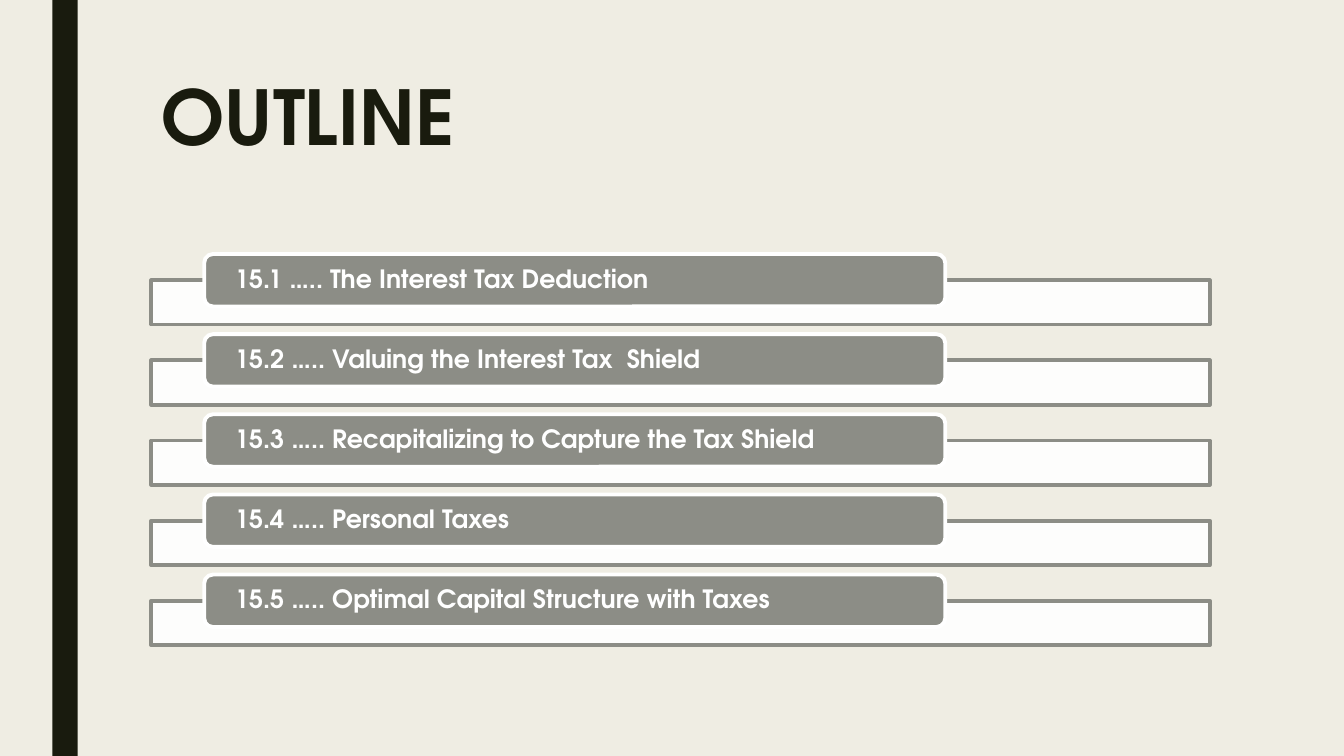
from lxml import etree
from pptx import Presentation
from pptx.dml.color import RGBColor
from pptx.enum.shapes import MSO_SHAPE
from pptx.enum.text import MSO_ANCHOR, PP_ALIGN
from pptx.oxml.ns import qn
from pptx.util import Inches, Pt

RECTANGLE, ROUNDED = MSO_SHAPE.RECTANGLE, MSO_SHAPE.ROUNDED_RECTANGLE
TOP, MIDDLE, LEFT = MSO_ANCHOR.TOP, MSO_ANCHOR.MIDDLE, PP_ALIGN.LEFT

# Content
TITLE = "OUTLINE"
SECTIONS = [
    "15.1 ….. The Interest Tax Deduction",
    "15.2 ….. Valuing the Interest Tax  Shield",
    "15.3 ….. Recapitalizing to Capture the Tax Shield",
    "15.4 ….. Personal Taxes",
    "15.5 ….. Optimal Capital Structure with Taxes",
]

# Style
CREAM = RGBColor(0xEF, 0xED, 0xE3)
INK = RGBColor(0x19, 0x1B, 0x0E)
GREY = RGBColor(0x8C, 0x8D, 0x86)
WHITE = RGBColor(0xFF, 0xFF, 0xFF)
FONT = "TeX Gyre Adventor"
TITLE_FONT = {"name": FONT, "size": Pt(54), "bold": True}
SECTION_FONT = {"name": FONT, "size": Pt(18), "bold": True}

# Layout in inches
WIDTH, HEIGHT = 13.33, 7.5
MARGIN, CONTENT_WIDTH = 1.5, 10.5
FIRST_TAB, ROW_STEP = 2.52, 0.795
TAB_HEIGHT, BAR_HEIGHT = 0.52, 0.44
TAB_LEFT = MARGIN + CONTENT_WIDTH * 0.05
TAB_WIDTH = CONTENT_WIDTH * 0.7


def add_box(slide, kind, box, fill, line=None):
    shape = slide.shapes.add_shape(kind, *map(Inches, box))
    shape.shadow.inherit = False
    shape.fill.solid()
    shape.fill.fore_color.rgb = fill
    if line is None:
        shape.line.fill.background()
    else:
        shape.line.color.rgb = line
        shape.line.width = Pt(2.75)
    return shape


def write(shape, text, style, color, anchor, spacing):
    frame = shape.text_frame
    frame.word_wrap = True
    frame.vertical_anchor = anchor
    paragraph = frame.paragraphs[0]
    paragraph.text = text
    paragraph.alignment = LEFT
    paragraph.line_spacing = spacing
    font = paragraph.runs[0].font
    for name, value in style.items():
        setattr(font, name, value)
    font.color.rgb = color
    return frame


def set_opacity(shape, percent):
    color = shape.fill._xPr.find(qn("a:solidFill"))[0]
    etree.SubElement(color, qn("a:alpha"), val=str(percent * 1000))


def main():
    presentation = Presentation()
    presentation.slide_width = Inches(WIDTH)
    presentation.slide_height = Inches(HEIGHT)
    slide = presentation.slides.add_slide(presentation.slide_layouts[5])
    slide.background.fill.solid()
    slide.background.fill.fore_color.rgb = CREAM

    # Side stripe
    add_box(slide, RECTANGLE, (0.52, 0, 0.25, HEIGHT), INK)

    # Title
    title = slide.shapes.title
    title.left, title.top = Inches(MARGIN), Inches(0.75)
    title.width, title.height = Inches(CONTENT_WIDTH), Inches(1.62)
    write(title, TITLE, TITLE_FONT, INK, TOP, 0.89)

    # Section rows: a wide bar with a tab over its top edge
    for row, section in enumerate(SECTIONS):
        top = FIRST_TAB + row * ROW_STEP
        bar_box = (MARGIN, top + TAB_HEIGHT / 2, CONTENT_WIDTH, BAR_HEIGHT)
        bar = add_box(slide, RECTANGLE, bar_box, WHITE, GREY)
        set_opacity(bar, 90)
        tab_box = (TAB_LEFT, top, TAB_WIDTH, TAB_HEIGHT)
        tab = add_box(slide, ROUNDED, tab_box, GREY, WHITE)
        frame = write(tab, section, SECTION_FONT, WHITE, MIDDLE, 0.9)
        frame.margin_left = frame.margin_right = Inches(0.28)
        frame.margin_top = frame.margin_bottom = 0

    presentation.save("out.pptx")


if __name__ == "__main__":
    main()
